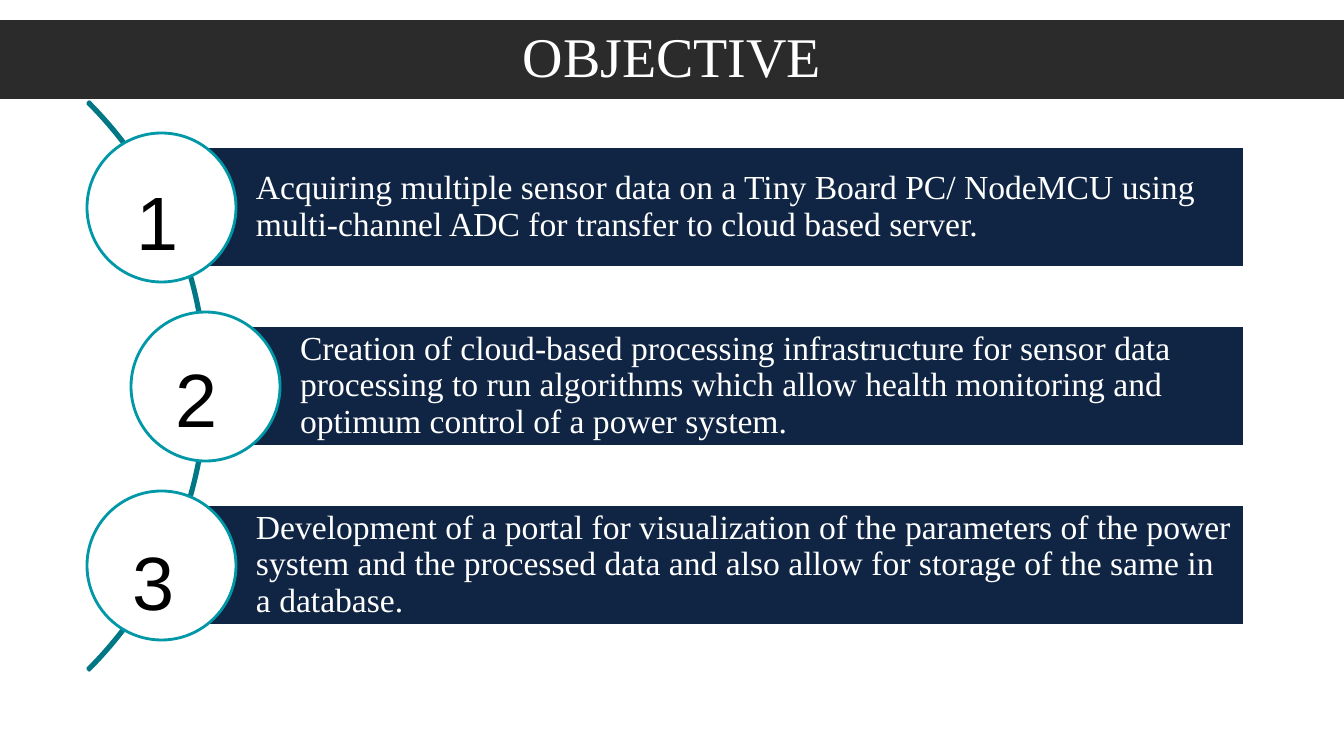
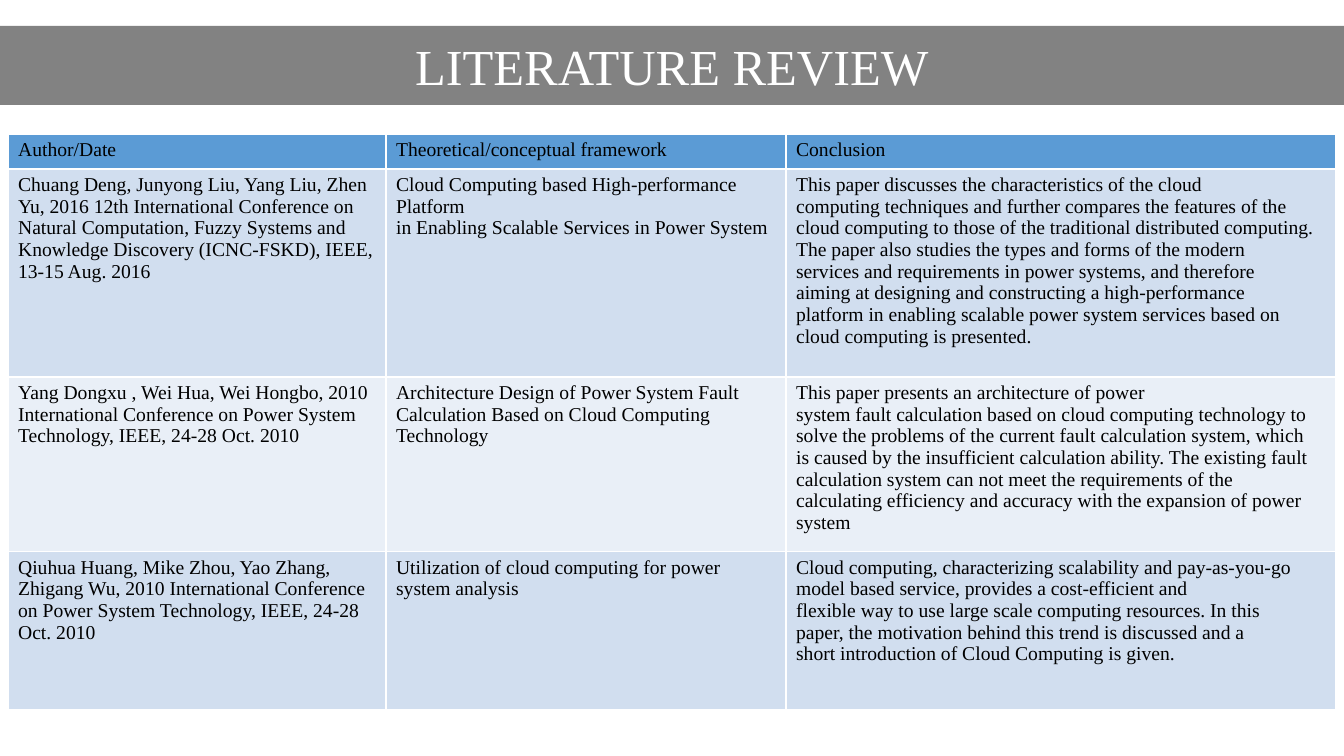
from dataclasses import dataclass

import lxml.etree
import pptx
import pptx.dml.color
import pptx.enum.shapes
import pptx.enum.text
import pptx.oxml.ns
import pptx.util

SHAPES = pptx.enum.shapes.MSO_SHAPE
ALIGN = pptx.enum.text.PP_ALIGN
ANCHOR = pptx.enum.text.MSO_ANCHOR
EMU_PER_PX = 914400 / 100.8
SLIDE_WIDTH, SLIDE_HEIGHT = 1344, 756


@dataclass(frozen=True)
class Theme:
    """Colours, fonts and type sizes shared by the slides."""

    black: str = "000000"
    white: str = "FFFFFF"
    navy: str = "102544"
    arc: str = "007784"
    ring: str = "0097A7"
    header: str = "5B9BD5"
    rows: tuple = ("D1DEEF", "E9EFF7")
    serif: str = "Times New Roman"
    sans: str = "Arial"
    objective: int = 24
    number: int = 54
    cell: int = 14
    outline: int = 2
    border: float = 0.96


def px(*lengths):
    """Turn pixel lengths into EMU."""
    return [pptx.util.Emu(round(length * EMU_PER_PX)) for length in lengths]


def rgb(code):
    """Turn a hex code into a colour."""
    return pptx.dml.color.RGBColor.from_string(code)


def add_child(parent, tag, **attributes):
    """Append a DrawingML element."""
    return lxml.etree.SubElement(parent, pptx.oxml.ns.qn(tag), **attributes)


class Deck:
    """Draws themed elements on the current slide."""

    def __init__(self, theme):
        self.theme = theme
        self.presentation = pptx.Presentation()
        size = px(SLIDE_WIDTH, SLIDE_HEIGHT)
        self.presentation.slide_width, self.presentation.slide_height = size
        self.slide = None

    def new_slide(self):
        """Start a blank slide."""
        self.slide = self.presentation.slides.add_slide(self.presentation.slide_layouts[6])

    def shape(self, kind, box, fill=None, line=None):
        """Add a preset shape with a plain fill and outline."""
        shape = self.slide.shapes.add_shape(kind, *px(*box))
        shape.shadow.inherit = False
        if fill:
            shape.fill.solid()
            shape.fill.fore_color.rgb = rgb(fill)
        else:
            shape.fill.background()
        if line:
            shape.line.color.rgb = rgb(line)
            shape.line.width = pptx.util.Pt(self.theme.outline)
        else:
            shape.line.fill.background()
        return shape

    def set_text(self, frame, text, size, color, font=None, align=ALIGN.LEFT, spacing=None):
        """Fill a text frame and format its runs."""
        frame.text = text
        frame.word_wrap = True
        for paragraph in frame.paragraphs:
            paragraph.alignment = align
            paragraph.line_spacing = spacing
            for run in paragraph.runs:
                run.font.name = font or self.theme.serif
                run.font.size = pptx.util.Pt(size)
                run.font.bold = False
                run.font.color.rgb = rgb(color)

    def inset(self, frame, left, top, right, bottom):
        """Set the text margins of a frame."""
        margins = px(left, top, right, bottom)
        frame.margin_left, frame.margin_top, frame.margin_right, frame.margin_bottom = margins

    def title(self, text, top, size, opacity, spacing=None):
        """Add the full-width translucent title band."""
        band = self.shape(SHAPES.RECTANGLE, (0, top, SLIDE_WIDTH, 79), self.theme.black)
        color = band.element.spPr.find(pptx.oxml.ns.qn("a:solidFill"))[0]
        add_child(color, "a:alpha", val=str(opacity * 1000))
        band.text_frame.vertical_anchor = ANCHOR.MIDDLE
        self.set_text(band.text_frame, text, size, self.theme.white,
                      align=ALIGN.CENTER, spacing=spacing)

    def arc(self, box):
        """Add the thin arc that runs behind the circles."""
        arc = self.shape(SHAPES.BLOCK_ARC, box, line=self.theme.arc)
        for index, value in enumerate((189, 27, 0.003)):
            arc.adjustments[index] = value

    def objective(self, text, center_x, center_y):
        """Add a text bar that starts behind a ringed circle."""
        right, height, diameter = 1244, 120, 149
        bar = self.shape(SHAPES.RECTANGLE,
                         (center_x, center_y - height // 2, right - center_x, height),
                         self.theme.navy, self.theme.white)
        self.inset(bar.text_frame, 95, 7, 7, 7)
        bar.text_frame.vertical_anchor = ANCHOR.MIDDLE
        self.set_text(bar.text_frame, text, self.theme.objective, self.theme.white, spacing=0.9)
        radius = diameter // 2
        self.shape(SHAPES.OVAL, (center_x - radius, center_y - radius, diameter, diameter),
                   self.theme.white, self.theme.ring)

    def number(self, text, left, top):
        """Add a large numeral."""
        box = self.slide.shapes.add_textbox(*px(left, top, 60, 88))
        self.inset(box.text_frame, 0, 0, 0, 0)
        self.set_text(box.text_frame, text, self.theme.number, self.theme.black, self.theme.sans)

    def cell_border(self, cell):
        """Draw all four sides of a table cell."""
        properties = cell._tc.get_or_add_tcPr()
        width = str(pptx.util.Pt(self.theme.border))
        for side in ("a:lnL", "a:lnR", "a:lnT", "a:lnB"):
            line = add_child(properties, side, w=width)
            add_child(add_child(line, "a:solidFill"), "a:srgbClr", val=self.theme.white)

    def table(self, left, top, widths, heights, rows):
        """Add a table with a header and alternating row fills."""
        frame = self.slide.shapes.add_table(
            len(rows), len(widths), *px(left, top, sum(widths), sum(heights)))
        table = frame.table
        for column, width in zip(table.columns, px(*widths)):
            column.width = width
        for row, height in zip(table.rows, px(*heights)):
            row.height = height
        for row_index, texts in enumerate(rows):
            fill = self.theme.rows[(row_index - 1) % 2] if row_index else self.theme.header
            for column_index, text in enumerate(texts):
                cell = table.cell(row_index, column_index)
                self.cell_border(cell)
                cell.fill.solid()
                cell.fill.fore_color.rgb = rgb(fill)
                self.set_text(cell.text_frame, text, self.theme.cell, self.theme.black)


OBJECTIVES = [
    ("Acquiring multiple sensor data on a Tiny Board PC/ NodeMCU using multi-channel ADC "
     "for transfer to cloud based server.", 161, (137, 175)),
    ("Creation of cloud-based processing infrastructure for sensor data processing to run "
     "algorithms which allow health monitoring and optimum control of a power system.",
     205, (176, 352)),
    ("Development of a portal for visualization of the parameters of the power system and "
     "the processed data and also allow for storage of the same in a database.",
     161, (133, 535)),
]

LITERATURE = [
    ("Author/Date", "Theoretical/conceptual framework", "Conclusion"),
    ("Chuang Deng, Junyong Liu, Yang Liu, Zhen Yu, 2016 12th International Conference on "
     "Natural Computation, Fuzzy Systems and Knowledge Discovery (ICNC-FSKD), IEEE, "
     "13-15 Aug. 2016",
     "Cloud Computing based High-performance Platform\n"
     "in Enabling Scalable Services in Power System",
     "This paper discusses the characteristics of the cloud\n"
     "computing techniques and further compares the features of the\n"
     "cloud computing to those of the traditional distributed computing.\n"
     "The paper also studies the types and forms of the modern\n"
     "services and requirements in power systems, and therefore\n"
     "aiming at designing and constructing a high-performance\n"
     "platform in enabling scalable power system services based on\n"
     "cloud computing is presented."),
    ("Yang Dongxu , Wei Hua, Wei Hongbo, 2010 International Conference on Power System "
     "Technology, IEEE, 24-28 Oct. 2010",
     "Architecture Design of Power System Fault\n"
     "Calculation Based on Cloud Computing Technology",
     "This paper presents an architecture of power\n"
     "system fault calculation based on cloud computing technology to\n"
     "solve the problems of the current fault calculation system, which\n"
     "is caused by the insufficient calculation ability. The existing fault\n"
     "calculation system can not meet the requirements of the\n"
     "calculating efficiency and accuracy with the expansion of power\n"
     "system"),
    ("Qiuhua Huang, Mike Zhou, Yao Zhang, Zhigang Wu, 2010 International Conference on "
     "Power System Technology, IEEE, 24-28 Oct. 2010",
     "Utilization of cloud computing for power system analysis",
     "Cloud computing, characterizing scalability and pay-as-you-go model based service, "
     "provides a cost-efficient and\n"
     "flexible way to use large scale computing resources. In this\n"
     "paper, the motivation behind this trend is discussed and a\n"
     "short introduction of Cloud Computing is given."),
]


def main():
    """Build and save the two slides."""
    deck = Deck(Theme())

    deck.new_slide()
    deck.title("OBJECTIVE", top=20, size=40, opacity=83, spacing=0.9)
    deck.arc((-597, -16, 804, 804))
    for index, (text, center_x, numeral) in enumerate(OBJECTIVES):
        deck.objective(text, center_x, 207 + 179 * index)
        deck.number(str(index + 1), *numeral)

    deck.new_slide()
    deck.title("LITERATURE REVIEW", top=26, size=36, opacity=49)
    deck.table(8, 134, (378, 400, 550), (35, 208, 163, 158), LITERATURE)

    deck.presentation.save("out.pptx")


if __name__ == "__main__":
    main()
